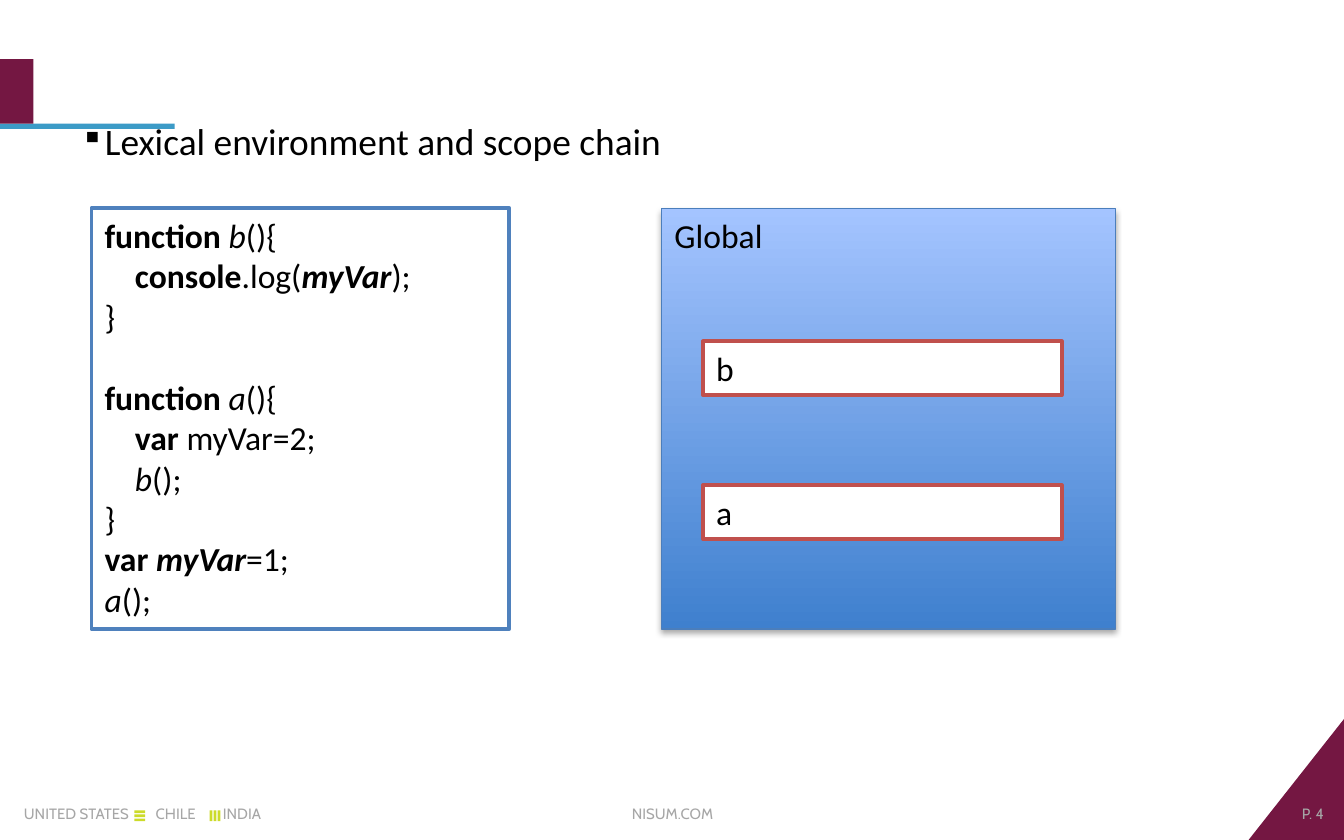
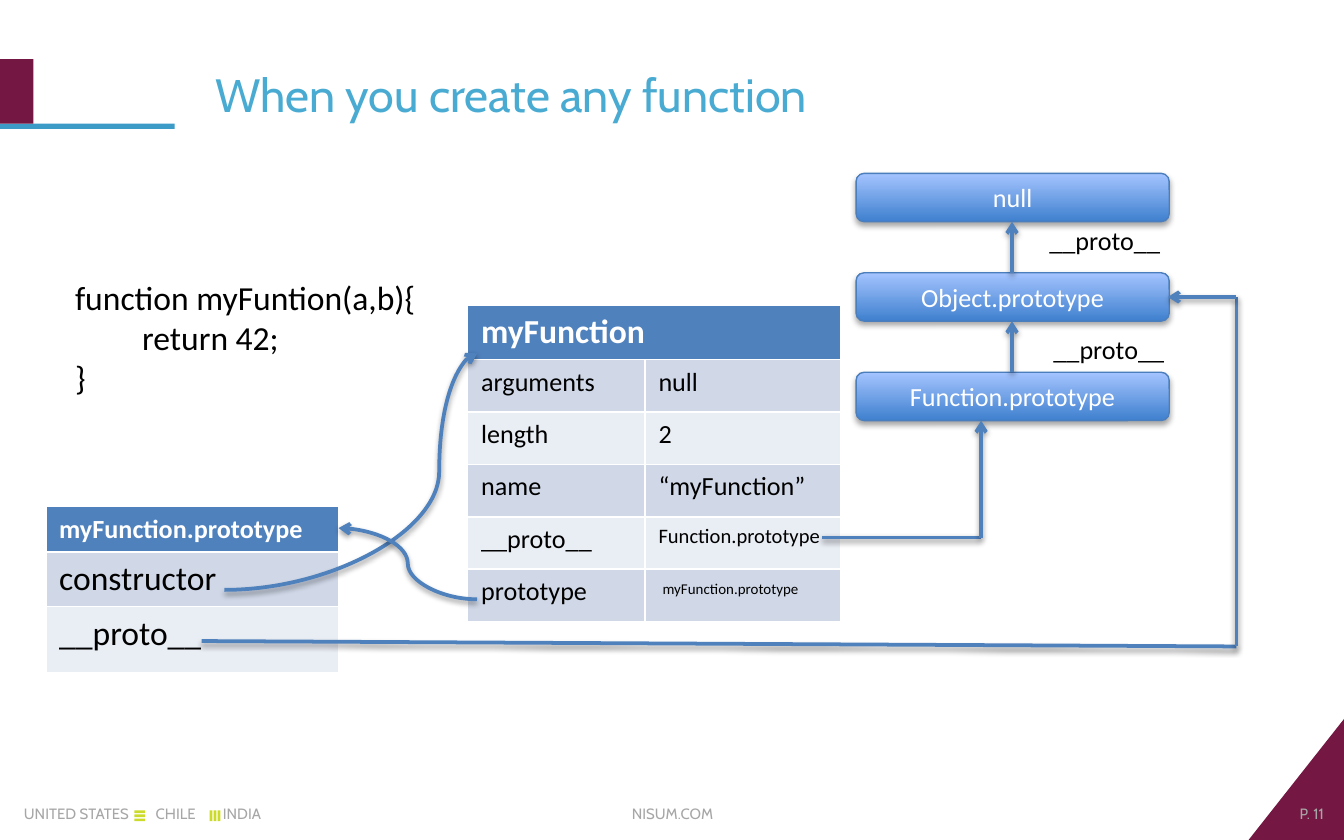
"""Build two slides on JavaScript scope chains and function prototypes."""
from dataclasses import dataclass
from typing import NamedTuple

from lxml.etree import SubElement
from pptx import Presentation
from pptx.dml.color import RGBColor
from pptx.enum.shapes import MSO_CONNECTOR, MSO_SHAPE
from pptx.enum.text import MSO_ANCHOR, MSO_AUTO_SIZE, PP_ALIGN
from pptx.oxml.ns import qn
from pptx.util import Inches, Pt

PLUM, TEAL, LIME, GREY = "741742", "3C9BC7", "CCDB29", "A6A6A6"
BLUE, RED, TITLE_BLUE, EDGE = "4F81BD", "C0504D", "49ABD2", "4B7EBC"
BLACK, WHITE = "000000", "FFFFFF"
GRADIENT = ("3F80CE", "A4C4FF")
BANDS = ("D0D8E8", "E9EDF4")
PLAIN, BOLD, ITALIC = {}, {"bold": True}, {"italic": True}
BOLD_ITALIC = BOLD | ITALIC


class Frame(NamedTuple):
    left: float
    top: float
    width: float
    height: float


class Span(NamedTuple):
    text: str
    style: dict = PLAIN


@dataclass
class TextStyle:
    size: float = 18
    color: str = BLACK
    name: str = "Calibri"
    align: PP_ALIGN = PP_ALIGN.LEFT
    anchor: MSO_ANCHOR = MSO_ANCHOR.TOP
    space_before: float = 0


@dataclass
class Link:
    start: tuple[float, float]
    end: tuple[float, float]
    arrow: bool = False
    kind: MSO_CONNECTOR = MSO_CONNECTOR.STRAIGHT
    bend: float = 0.5


class TableCell(NamedTuple):
    text: str
    size: float = 14
    left_margin: float = 0.1
    top_margin: float = 0.05


FOOTER = TextStyle(8, GREY, "Cabin")
CODE = TextStyle(space_before=22)
HEADING = TextStyle(25, TITLE_BLUE, "Cabin", anchor=MSO_ANCHOR.MIDDLE)
NODE = TextStyle(14, WHITE, align=PP_ALIGN.CENTER, anchor=MSO_ANCHOR.MIDDLE)

SCOPE_CODE = [
    [Span("function ", BOLD), Span("b", ITALIC), Span("(){\n    "),
     Span("console", BOLD), Span(".log("), Span("myVar", BOLD_ITALIC),
     Span(");\n}")],
    [Span("function ", BOLD), Span("a", ITALIC), Span("(){\n    "),
     Span("var ", BOLD), Span("myVar=2;\n    "), Span("b", ITALIC),
     Span("();\n}\n"), Span("var ", BOLD), Span("myVar", BOLD_ITALIC),
     Span("=1;\n"), Span("a", ITALIC), Span("();")],
]
FUNCTION_ROWS = [
    [TableCell("myFunction", 18), TableCell("")],
    [TableCell("arguments"), TableCell("null")],
    [TableCell("length"), TableCell("2")],
    [TableCell("name"), TableCell("“myFunction”")],
    [TableCell("__proto__"), TableCell("Function.prototype", 11)],
    [TableCell("prototype"), TableCell("myFunction.prototype", 8, 0.13, 0.08)],
]
PROTOTYPE_ROWS = [
    [TableCell("myFunction.prototype")],
    [TableCell("constructor", 18)],
    [TableCell("__proto__", 18)],
]


def rgb(color: str) -> RGBColor:
    """Turn a hex string into a colour."""
    return RGBColor.from_string(color)


def lengths(values) -> list:
    """Turn plain numbers into inch lengths."""
    return [Inches(value) for value in values]


def apply(target, values: dict) -> None:
    """Set every attribute named in the dict."""
    for name, value in values.items():
        setattr(target, name, value)


def add_span(para, span: Span, style: TextStyle) -> None:
    """Add a span, with a line break at each newline."""
    for index, text in enumerate(span.text.split("\n")):
        if index:
            para.add_line_break()
        if text:
            run = para.add_run()
            run.text = text
            apply(run.font, {"name": style.name, "size": Pt(style.size),
                             "bold": False, "italic": False} | span.style)
            run.font.color.rgb = rgb(style.color)


def write(frame, blocks: list[list[Span]], style: TextStyle) -> None:
    """Fill a text frame, one paragraph for each block."""
    apply(frame, {"word_wrap": True, "auto_size": MSO_AUTO_SIZE.NONE,
                  "vertical_anchor": style.anchor})
    for index, block in enumerate(blocks):
        para = frame.add_paragraph() if index else frame.paragraphs[0]
        para.alignment = style.align
        if index:
            para.space_before = Pt(style.space_before)
        for span in block:
            add_span(para, span, style)


def add_text(page, frame: Frame, lines: list[str], style: TextStyle):
    """Add a text box of plain lines."""
    box = page.shapes.add_textbox(*lengths(frame))
    write(box.text_frame, [[Span(line)] for line in lines], style)
    return box


def set_effects(shape, opacity: int = 0, distance: float = 0) -> None:
    """Replace the theme shadow by none or by a soft one below."""
    effects = SubElement(shape.element.spPr, qn("a:effectLst"))
    if opacity:
        shadow = SubElement(effects, qn("a:outerShdw"), blurRad=str(Pt(3.1)),
                            dist=str(Pt(distance)), dir="5400000", rotWithShape="0")
        color = SubElement(shadow, qn("a:srgbClr"), val=BLACK)
        SubElement(color, qn("a:alpha"), val=str(opacity * 1000))


def add_block(page, frame: Frame, fill: str, line: str = "",
              kind: MSO_SHAPE = MSO_SHAPE.RECTANGLE):
    """Add a flat shape with an optional outline."""
    shape = page.shapes.add_shape(kind, *lengths(frame))
    shape.fill.solid()
    shape.fill.fore_color.rgb = rgb(fill)
    if line:
        shape.line.color.rgb = rgb(line)
        shape.line.width = Pt(2)
    else:
        shape.line.fill.background()
    set_effects(shape)
    return shape


def add_glossy(page, frame: Frame, text: str, style: TextStyle,
               kind: MSO_SHAPE = MSO_SHAPE.RECTANGLE) -> None:
    """Add a shaded shape with a shadow and a label."""
    shape = page.shapes.add_shape(kind, *lengths(frame))
    shape.fill.gradient()
    shape.fill.gradient_angle = 90
    for stop, color in zip(shape.fill.gradient_stops, GRADIENT):
        stop.color.rgb = rgb(color)
    shape.line.color.rgb = rgb(EDGE)
    shape.line.width = Pt(0.75)
    set_effects(shape, 35, 1.8)
    write(shape.text_frame, [[Span(text)]], style)


def add_link(page, link: Link) -> None:
    """Add a connector with a shadow."""
    connector = page.shapes.add_connector(link.kind, *lengths(link.start + link.end))
    connector.line.color.rgb = rgb(BLUE)
    connector.line.width = Pt(2)
    properties = connector.element.spPr
    if link.arrow:
        SubElement(properties.find(qn("a:ln")), qn("a:tailEnd"), type="arrow")
    if link.kind == MSO_CONNECTOR.CURVE:
        guides = properties.find(qn("a:prstGeom")).find(qn("a:avLst"))
        SubElement(guides, qn("a:gd"), name="adj1", fmla=f"val {round(link.bend * 100000)}")
    set_effects(connector, 38, 1.6)


def add_grid(page, left: float, top: float, widths: list[float],
             heights: list[float], rows: list[list[TableCell]]) -> None:
    """Add a banded table whose header spans all columns."""
    frame = Frame(left, top, sum(widths), sum(heights))
    table = page.shapes.add_table(len(rows), len(widths), *lengths(frame)).table
    for column, width in zip(table.columns, widths):
        column.width = Inches(width)
    for row, height in zip(table.rows, heights):
        row.height = Inches(height)
    if len(widths) > 1:
        table.cell(0, 0).merge(table.cell(0, len(widths) - 1))
    for row_index, row in enumerate(rows):
        for column_index, entry in enumerate(row):
            cell = table.cell(row_index, column_index)
            cell.fill.solid()
            cell.fill.fore_color.rgb = rgb(BANDS[(row_index - 1) % 2] if row_index else BLUE)
            apply(cell, {"margin_left": Inches(entry.left_margin),
                         "margin_top": Inches(entry.top_margin)})
            style = TextStyle(entry.size, BLACK if row_index else WHITE)
            span = Span(entry.text, PLAIN if row_index else BOLD)
            add_span(cell.text_frame.paragraphs[0], span, style)


def add_page(deck, number: int, title: str, frame: Frame, style: TextStyle):
    """Add a slide with its title, corner, bars and footer."""
    page = deck.slides.add_slide(deck.slide_layouts[5])
    heading = page.shapes.title
    names = ("left", "top", "width", "height")
    apply(heading, dict(zip(names, lengths(frame))))
    write(heading.text_frame, [[Span(title)]], style)

    corner = add_block(page, Frame(9.29, 5.35, 0.71, 0.9), PLUM,
                       kind=MSO_SHAPE.ISOSCELES_TRIANGLE)
    corner.adjustments[0] = 1
    places = add_text(page, Frame(0.08, 5.94, 2.67, 0.29),
                      ["UNITED STATES\tCHILE\tINDIA"], FOOTER)
    tabs = SubElement(places.text_frame.paragraphs[0]._p.get_or_add_pPr(), qn("a:tabLst"))
    for position in (0.98, 1.48):
        SubElement(tabs, qn("a:tab"), pos=str(Inches(position)), algn="l")
    add_text(page, Frame(3.67, 5.94, 2.67, 0.29), ["NISUM.COM"],
             TextStyle(8, GREY, "Cabin", PP_ALIGN.CENTER))
    add_text(page, Frame(8.56, 5.94, 1.39, 0.29), [f"P. {number}"],
             TextStyle(8, GREY, "Cabin", PP_ALIGN.RIGHT))
    add_block(page, Frame(-0.01, 0.92, 1.31, 0.04), TEAL)
    add_block(page, Frame(-0.01, 0.44, 0.26, 0.48), PLUM)
    for index in range(3):
        shift = 0.03 * index
        add_block(page, Frame(1, 6.03 + shift, 0.08, 0.02), LIME)
        add_block(page, Frame(1.56 + shift, 6.03, 0.02, 0.08), LIME)
    return page


def build_scope_page(deck) -> None:
    """Show code beside its nested scopes."""
    page = add_page(deck, 4, "Lexical environment and scope chain",
                    Frame(0.5, 0.83, 9, 4.76), TextStyle(20))
    bullet = page.shapes.title.text_frame.paragraphs[0]._p.get_or_add_pPr()
    bullet.set("marL", str(Inches(0.18)))
    bullet.set("indent", str(Inches(-0.18)))
    SubElement(bullet, qn("a:buSzPct"), val="85000")
    SubElement(bullet, qn("a:buChar"), char="▪")

    code = add_block(page, Frame(0.68, 1.55, 3.11, 3.13), WHITE, BLUE)
    write(code.text_frame, SCOPE_CODE, CODE)
    add_glossy(page, Frame(4.92, 1.55, 3.38, 3.13), "Global", TextStyle())
    for name, top in (("b", 2.54), ("a", 3.61)):
        scope = add_block(page, Frame(5.23, top, 2.67, 0.4), WHITE, RED)
        write(scope.text_frame, [[Span(name)]], TextStyle())


def build_prototype_page(deck) -> None:
    """Show a function object and its prototype chain."""
    page = add_page(deck, 11, "When you create any function",
                    Frame(1.5, 0.19, 7.07, 1.02), HEADING)
    add_text(page, Frame(0.46, 2.01, 3.02, 1.01),
             ["function myFuntion(a,b){", "\treturn 42;", "}"], TextStyle())
    add_grid(page, 3.48, 2.27, [1.32, 1.46], [0.39] * 6, FUNCTION_ROWS)
    for index, name in enumerate(("null", "Object.prototype", "Function.prototype")):
        top = 1.29 + 0.74 * index
        add_glossy(page, Frame(6.37, top, 2.33, 0.36), name, NODE,
                   MSO_SHAPE.ROUNDED_RECTANGLE)
        if index:
            add_link(page, Link((7.53, top), (7.53, top - 0.38), True))
    for left, top in ((7.74, 2.43), (7.71, 1.62)):
        add_text(page, Frame(left, top, 1.37, 0.34), ["__proto__"], TextStyle(14))
    add_grid(page, 0.34, 3.77, [2.18], [0.33, 0.39, 0.49], PROTOTYPE_ROWS)
    for link in (
        Link((6.12, 4), (7.3, 4)),
        Link((7.3, 4), (7.3, 3.13), True),
        Link((1.5, 4.77), (9.2, 4.81)),
        Link((9.2, 2.21), (9.2, 4.81)),
        Link((9.2, 2.21), (8.69, 2.21), True),
        Link((1.67, 4.39), (3.55, 2.63), True, MSO_CONNECTOR.CURVE, 0.85),
        Link((3.55, 4.46), (2.52, 3.93), True, MSO_CONNECTOR.CURVE),
    ):
        add_link(page, link)


def main() -> None:
    """Build and save the deck."""
    deck = Presentation()
    deck.slide_width, deck.slide_height = lengths((10, 6.25))
    build_scope_page(deck)
    build_prototype_page(deck)
    deck.save("out.pptx")


if __name__ == "__main__":
    main()
